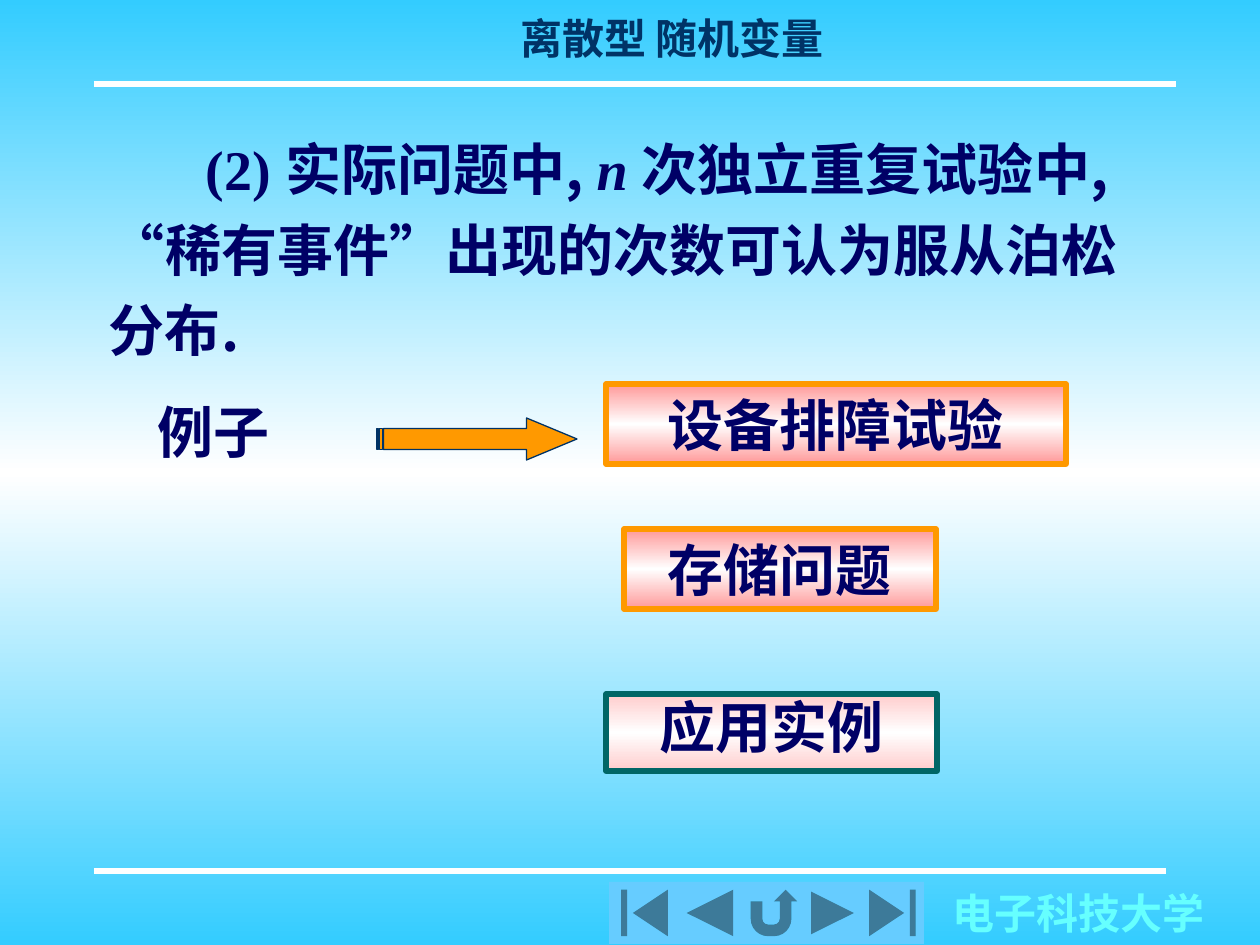
from copy import deepcopy
from dataclasses import dataclass

from lxml import etree
from pptx import Presentation
from pptx.dml.color import RGBColor
from pptx.enum.shapes import MSO_CONNECTOR, MSO_SHAPE
from pptx.enum.text import MSO_ANCHOR, MSO_AUTO_SIZE, PP_ALIGN
from pptx.oxml.ns import qn
from pptx.util import Pt

PX = 914400 / 126
LEFT, CENTER = PP_ALIGN.LEFT, PP_ALIGN.CENTER
TOP = MSO_ANCHOR.TOP
NO_AUTOFIT = MSO_AUTO_SIZE.NONE
STRAIGHT = MSO_CONNECTOR.STRAIGHT
RECT, STRIPED_ARROW = MSO_SHAPE.RECTANGLE, MSO_SHAPE.STRIPED_RIGHT_ARROW
FIRST, BACK = MSO_SHAPE.ACTION_BUTTON_BEGINNING, MSO_SHAPE.ACTION_BUTTON_BACK_OR_PREVIOUS
RETURN, LAST = MSO_SHAPE.ACTION_BUTTON_RETURN, MSO_SHAPE.ACTION_BUTTON_END
NEXT = MSO_SHAPE.ACTION_BUTTON_FORWARD_OR_NEXT


@dataclass(frozen=True)
class Theme:
    sky: str = "33CCFF"
    white: str = "FFFFFF"
    navy: str = "003366"
    ink: str = "000066"
    aqua: str = "66FFFF"
    button: str = "66CCFF"
    orange: str = "FF9900"
    teal: str = "006666"
    rose: str = "FF9999"
    pale_rose: str = "FFCCCC"
    small: int = 24
    large: int = 32
    cjk: str = "Noto Sans CJK SC"
    latin: str = "Times New Roman"


def emu(*lengths):
    return [round(n * PX) for n in lengths]


def rgb(value):
    return RGBColor.from_string(value)


class SlideBuilder:
    def __init__(self, prs, theme):
        self.theme = theme
        self.slide = prs.slides.add_slide(prs.slide_layouts[5])
        self.shapes = self.slide.shapes

    def glow(self, fill, edge):
        """Vertical gradient from edge colour through white and back."""
        fill.gradient()
        fill.gradient_angle = 90
        first = fill.gradient_stops[0]._gs
        first.addnext(deepcopy(first))
        colors = (edge, self.theme.white, edge)
        for stop, color, place in zip(fill.gradient_stops, colors, (0, 0.5, 1)):
            stop.color.rgb = rgb(color)
            stop.position = place

    def add_runs(self, tf, runs, size, color, align=LEFT, wrap=True, spacing=None):
        """Fill a frame with one paragraph of (text, font, italic) runs."""
        tf.auto_size = NO_AUTOFIT
        tf.word_wrap = wrap
        tf.vertical_anchor = TOP
        tf.margin_left, tf.margin_right, tf.margin_top, tf.margin_bottom = emu(13, 13, 6, 6)
        p = tf.paragraphs[0]
        p.alignment = align
        p.space_before = Pt(0)
        if spacing:
            p.line_spacing = spacing
        for text, font, italic in runs:
            r = p.add_run()
            r.text = text
            r.font.name = font
            r.font.size = Pt(size)
            r.font.bold = True
            r.font.italic = italic
            r.font.color.rgb = rgb(color)
            ea = etree.SubElement(r.font._element, qn("a:ea"))
            ea.set("typeface", self.theme.cjk)
        return p

    def title(self, text, x, y, w, h):
        sp = self.shapes.title
        sp.left, sp.top, sp.width, sp.height = emu(x, y, w, h)
        t = self.theme
        self.add_runs(sp.text_frame, [(text, t.cjk, False)], t.small, t.navy, CENTER)

    def text(self, runs, x, y, w, h, size, color, wrap=True, spacing=None):
        sp = self.shapes.add_textbox(*emu(x, y, w, h))
        return self.add_runs(sp.text_frame, runs, size, color, wrap=wrap, spacing=spacing)

    def rule(self, x1, x2, y):
        line = self.shapes.add_connector(STRAIGHT, *emu(x1, y, x2, y))
        line.line.color.rgb = rgb(self.theme.white)
        line.line.width = Pt(3)
        etree.SubElement(line._element.spPr, qn("a:effectLst"))

    def shape(self, kind, x, y, w, h, fill=None, line=None, weight=1.0):
        sp = self.shapes.add_shape(kind, *emu(x, y, w, h))
        sp.shadow.inherit = False
        if fill:
            sp.fill.solid()
            sp.fill.fore_color.rgb = rgb(fill)
        if line:
            sp.line.color.rgb = rgb(line)
            sp.line.width = Pt(weight)
        else:
            sp.line.fill.background()
        return sp

    def label(self, text, x, y, w, h, edge, line, spacing=None):
        sp = self.shape(RECT, x, y, w, h, line=line, weight=3)
        self.glow(sp.fill, edge)
        t = self.theme
        self.add_runs(sp.text_frame, [(text, t.cjk, False)], t.large, t.ink, CENTER, spacing=spacing)


def main():
    prs = Presentation()
    prs.slide_width, prs.slide_height = emu(1260, 945)
    t = Theme()
    s = SlideBuilder(prs, t)
    s.glow(s.slide.background.fill, t.sky)

    s.title("离散型 随机变量", 420, 6, 504, 58)
    s.rule(94, 1176, 84)
    s.rule(94, 1166, 871)
    s.text([("电子科技大学", t.latin, False)], 940, 882, 277, 63, t.small, t.aqua, wrap=False)

    statement = [
        ("(2) ", t.latin, False),
        ("实际问题中, ", t.cjk, False),
        ("n ", t.latin, True),
        ("次独立重复试验中,", t.cjk, False),
        ("“", t.latin, False),
        ("稀有事件", t.cjk, False),
        ("”", t.latin, False),
        ("出现的次数可认为服从泊松分布.", t.cjk, False),
    ]
    p = s.text(statement, 96, 115, 1090, 255, t.large, t.ink, spacing=1.2)
    p._p.get_or_add_pPr().set("indent", str(emu(97)[0]))

    buttons = [(FIRST, 609, 71), (BACK, 677, 66), (RETURN, 743, 62), (NEXT, 804, 57), (LAST, 861, 63)]
    for kind, x, w in buttons:
        s.shape(kind, x, 882, w, 62, t.button)

    s.text([("例子", t.latin, False)], 145, 391, 137, 80, t.large, t.ink, wrap=False)
    arrow = s.shape(STRIPED_ARROW, 377, 418, 200, 42, t.orange, t.navy, 0.75)
    arrow.adjustments[0], arrow.adjustments[1] = 0.5, 1.2

    s.label("设备排障试验", 606, 384, 460, 80, t.rose, t.orange)
    s.label("存储问题", 624, 529, 312, 80, t.rose, t.orange)
    s.label("应用实例", 606, 694, 331, 77, t.pale_rose, t.teal, spacing=0.9)

    prs.save("out.pptx")


if __name__ == "__main__":
    main()
